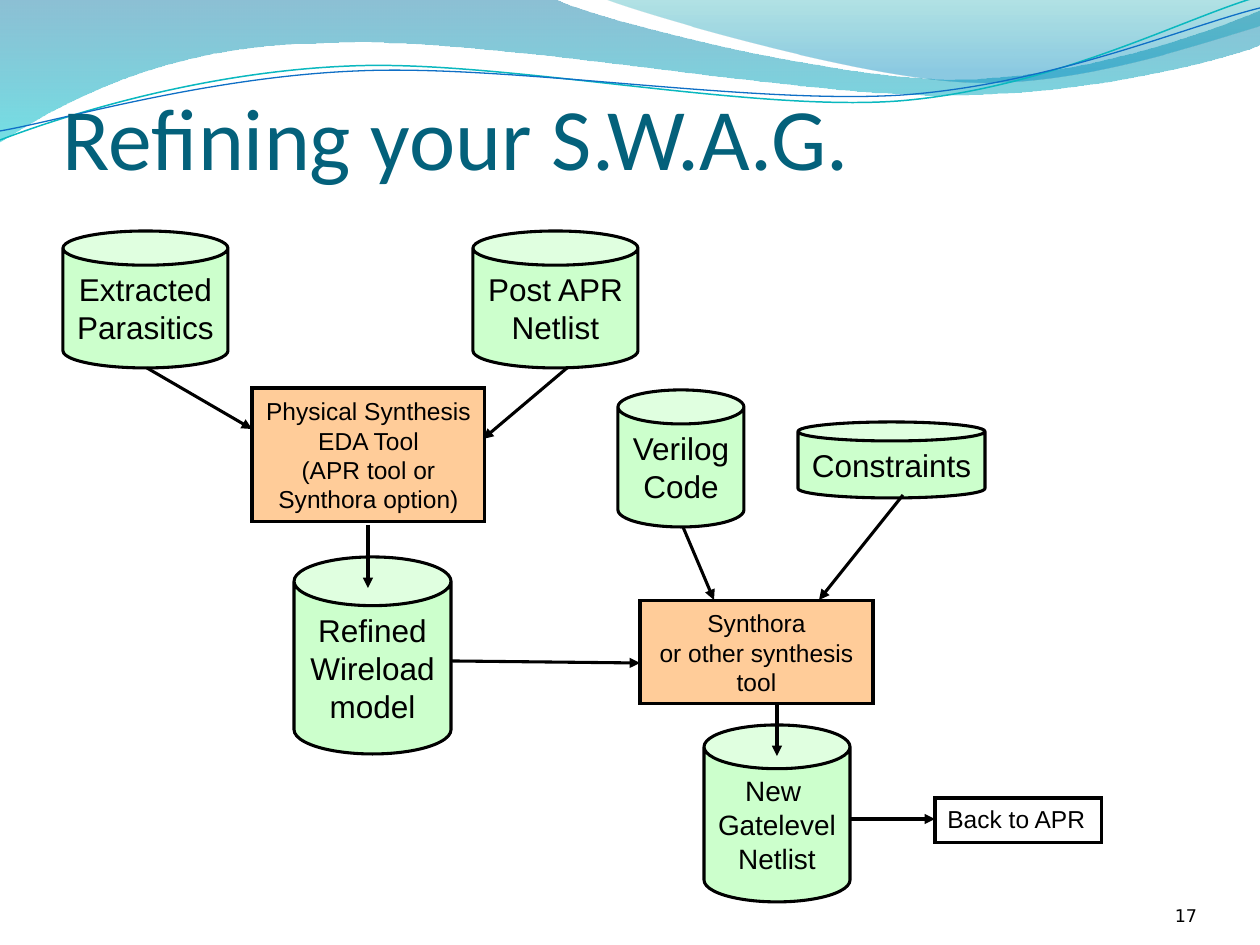
from dataclasses import dataclass

from lxml.etree import SubElement
from pptx import Presentation
from pptx.dml.color import RGBColor
from pptx.enum.shapes import MSO_CONNECTOR, MSO_SHAPE
from pptx.enum.text import MSO_ANCHOR, PP_ALIGN
from pptx.oxml.ns import qn
from pptx.util import Pt

PX = 914400 / 126  # EMU per pixel

BLACK = RGBColor(0x00, 0x00, 0x00)
TITLE = RGBColor(0x04, 0x61, 0x7B)
GREEN = RGBColor(0xCC, 0xFF, 0xCC)
ORANGE = RGBColor(0xFF, 0xCC, 0x99)
BLUE = RGBColor(0x00, 0x74, 0xA1)
CYAN = RGBColor(0x00, 0xC6, 0xCF)
TEAL = RGBColor(0x00, 0xA1, 0xA9)
SKY = RGBColor(0x00, 0x8B, 0xBF)
AQUA_LINE = RGBColor(0x0A, 0xB8, 0xBF)
BLUE_LINE = RGBColor(0x0F, 0x6F, 0xC6)


@dataclass
class Node:
    """A box or can of the flow chart; box is left, top, width, height."""
    text: str
    box: tuple
    size: int = 18
    fill: RGBColor | None = GREEN
    adj: float | None = 0.25  # lid height of a can, None for a rectangle
    wrap: bool = False
    align: PP_ALIGN = PP_ALIGN.CENTER
    anchor: MSO_ANCHOR = MSO_ANCHOR.MIDDLE


@dataclass
class Wave:
    """A header outline: pairs are straight steps, sixes are Bezier curves."""
    start: tuple
    steps: list
    stops: tuple = ()  # (position, colour, opacity in percent)
    line: RGBColor | None = None
    width: float = 0.75


WAVES = [
    Wave((0, -1), [(554, -1), (600, 21, 837, 79, 955, 79),
                   (1075, 79, 1207, 33, 1260, 11), (1261, 45),
                   (1238, 55, 1096, 96, 940, 95), (784, 95, 481, 35, 324, 43),
                   (163, 44, 58, 105, -1, 142), (0, -1)],
         stops=((0, BLUE, 45), (1, CYAN, 55))),
    Wave((604, -1), [(641, 14, 859, 78, 969, 82), (1079, 87, 1211, 40, 1260, 26),
                     (1260, 0), (604, -1)],
         stops=((0, TEAL, 30), (0.8, SKY, 45))),
    Wave((0, 140), [(60, 117, 199, 72, 349, 66), (498, 59, 747, 112, 898, 101),
                    (1050, 89, 1182, 19, 1257, -3)], line=AQUA_LINE, width=0.85),
    Wave((0, 131), [(59, 121, 207, 77, 357, 71), (508, 64, 752, 105, 903, 95),
                    (1053, 84, 1187, 26, 1260, 8)], line=BLUE_LINE),
]

TOOL = dict(size=14, fill=ORANGE, adj=None, wrap=True)
NODES = [
    Node("Extracted\nParasitics", (63, 231, 165, 137)),
    Node("Post APR\nNetlist", (473, 231, 165, 137)),
    Node("Physical Synthesis\nEDA Tool\n(APR tool or\nSynthora option)",
         (252, 388, 233, 134), **TOOL),
    Node("Refined\nWireload\nmodel", (294, 557, 157, 197), adj=0.31, wrap=True),
    Node("Verilog\nCode", (618, 390, 126, 137), adj=0.27),
    Node("Constraints", (798, 422, 187, 76)),
    Node("Synthora\nor other synthesis\ntool", (640, 601, 233, 103), **TOOL),
    Node("New \nGatelevel\nNetlist", (704, 725, 146, 177), size=16, adj=0.3),
    Node("Back to APR", (935, 798, 167, 45), size=14, fill=None, adj=None, wrap=True,
         align=PP_ALIGN.LEFT, anchor=MSO_ANCHOR.TOP),
]

ARROWS = [
    (147, 368, 252, 429), (567, 368, 483, 439), (368, 525, 368, 588),
    (452, 661, 640, 663), (683, 527, 714, 600), (903, 495, 819, 600),
    (777, 703, 777, 756), (850, 819, 935, 819),
]


def emu(*lengths: float) -> list[int]:
    """Turn pixels into EMU."""
    return [round(v * PX) for v in lengths]


def write(s, text: str, font: dict, align: PP_ALIGN, frame: dict) -> None:
    """Fill a shape with text, one paragraph per line."""
    tf = s.text_frame
    for name, value in frame.items():
        setattr(tf, name, value)
    tf.text = text
    for p in tf.paragraphs:
        p.alignment = align
        for r in p.runs:
            r.font.color.rgb = font["color"]
            for name in ("name", "size"):
                setattr(r.font, name, font[name])


def label(shapes, text: str, box: tuple, font: dict, align: PP_ALIGN,
          top: int = 0) -> None:
    """Add a bottom-anchored text box without side margins."""
    write(shapes.add_textbox(*emu(*box)), text, font, align,
          dict(word_wrap=True, vertical_anchor=MSO_ANCHOR.BOTTOM, margin_left=0,
               margin_right=0, margin_top=emu(top)[0], margin_bottom=0))


def curve_steps(s, steps: list) -> None:
    """Join the three line steps of each six-number step into one curve."""
    lines = iter(list(s._element.spPr.iter(qn("a:lnTo"))))
    for step in steps:
        first = next(lines)
        if len(step) == 6:
            first.tag = qn("a:cubicBezTo")
            for _ in range(2):
                line = next(lines)
                first.append(line[0])
                line.getparent().remove(line)


def draw_wave(shapes, wave: Wave) -> None:
    """Draw a filled wave or an open wave line."""
    points = [step[i:i + 2] for step in wave.steps for i in range(0, len(step), 2)]
    fb = shapes.build_freeform(*emu(*wave.start))
    fb.add_line_segments([emu(*pt) for pt in points], close=bool(wave.stops))
    s = fb.convert_to_shape()
    curve_steps(s, wave.steps)
    s.shadow.inherit = False
    if wave.line is None:
        s.line.fill.background()
        s.fill.gradient()
        s.fill.gradient_angle = 270
        for stop, (position, color, _) in zip(s.fill.gradient_stops, wave.stops):
            stop.position = position
            stop.color.rgb = color
        for clr, (_, _, opacity) in zip(s._element.spPr.iter(qn("a:srgbClr")), wave.stops):
            SubElement(clr, qn("a:alpha")).set("val", str(opacity * 1000))
    else:
        s.fill.background()
        s.line.color.rgb = wave.line
        s.line.width = Pt(wave.width)


def draw_node(shapes, node: Node) -> None:
    """Draw a can or a rectangle with its text."""
    kind = MSO_SHAPE.RECTANGLE if node.adj is None else MSO_SHAPE.CAN
    s = shapes.add_shape(kind, *emu(*node.box))
    s.shadow.inherit = False
    if node.fill is None:
        s.fill.background()
    else:
        s.fill.solid()
        s.fill.fore_color.rgb = node.fill
    s.line.color.rgb = BLACK
    s.line.width = Pt(1.75)
    if node.adj is None:
        SubElement(s.line._get_or_add_ln(), qn("a:miter")).set("lim", "800000")
    else:
        s.adjustments[0] = node.adj
    write(s, node.text, dict(name="Arial", size=Pt(node.size), color=BLACK),
          node.align, dict(word_wrap=node.wrap, vertical_anchor=node.anchor))


def draw_arrow(shapes, ends: tuple) -> None:
    """Draw a straight arrow between two points."""
    s = shapes.add_connector(MSO_CONNECTOR.STRAIGHT, *emu(*ends))
    s.line.color.rgb = BLACK
    s.line.width = Pt(1.75)
    SubElement(s.line._get_or_add_ln(), qn("a:tailEnd")).set("type", "triangle")
    SubElement(s._element.spPr, qn("a:effectLst"))


def main() -> None:
    """Build the slide and save it."""
    prs = Presentation()
    prs.slide_width, prs.slide_height = emu(1260, 945)
    shapes = prs.slides.add_slide(prs.slide_layouts[6]).shapes
    for wave in WAVES:
        draw_wave(shapes, wave)
    label(shapes, "Refining your S.W.A.G.", (63, 30, 1134, 158),
          dict(name="Calibri", size=Pt(50), color=TITLE), PP_ALIGN.LEFT, 6)
    label(shapes, "17", (1092, 876, 105, 50),
          dict(name="DejaVu Sans", size=Pt(10), color=BLACK), PP_ALIGN.RIGHT)
    for node in NODES:
        draw_node(shapes, node)
    for ends in ARROWS:
        draw_arrow(shapes, ends)
    prs.save("out.pptx")


main()
